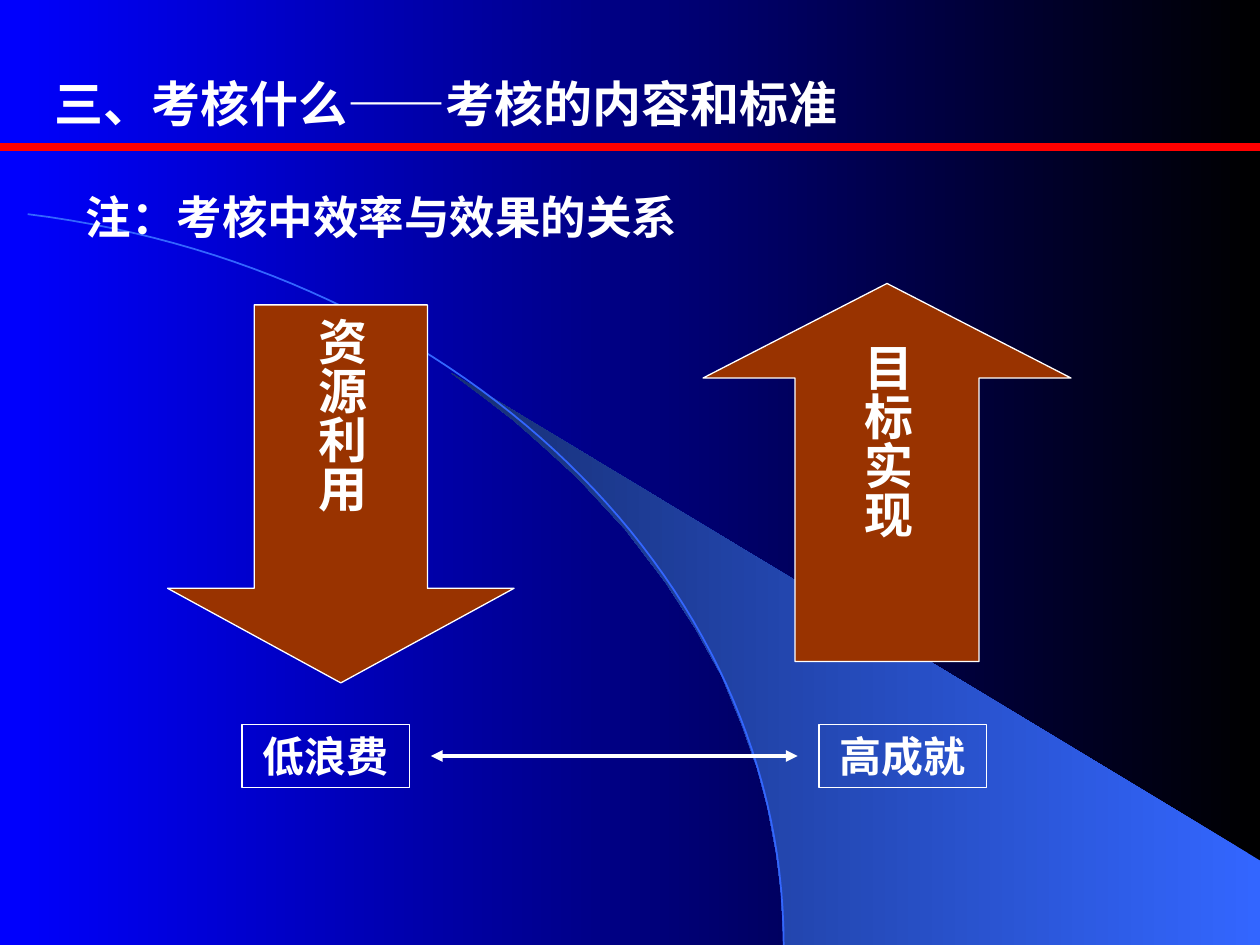
from pptx import Presentation
from pptx.dml.color import RGBColor
from pptx.enum.shapes import MSO_CONNECTOR as Connector, MSO_SHAPE as Shape
from pptx.enum.text import MSO_ANCHOR as Anchor, MSO_AUTO_SIZE as AutoSize, PP_ALIGN as Align
from pptx.oxml.ns import qn
from pptx.util import Inches, Pt
from lxml.etree import SubElement

BLACK = RGBColor(0x00, 0x00, 0x00)
BLUE = RGBColor(0x00, 0x00, 0xFF)
SKY = RGBColor(0x33, 0x66, 0xFF)
NAVY = RGBColor(0x17, 0x2F, 0x75)
RED = RGBColor(0xFF, 0x00, 0x00)
BROWN = RGBColor(0x99, 0x33, 0x00)
WHITE = RGBColor(0xFF, 0xFF, 0xFF)
CJK_FONT = "Noto Sans CJK SC"
LATIN_FONT = "Times New Roman"


def write_text(shape, text, size, font_name, frame_format, paragraph_format):
    frame = shape.text_frame
    for name, value in frame_format.items():
        setattr(frame, name, value)
    paragraph = frame.paragraphs[0]
    paragraph.text = text
    for name, value in paragraph_format.items():
        setattr(paragraph, name, value)
    font = paragraph.runs[0].font
    for name, value in {"size": Pt(size), "bold": True, "name": font_name}.items():
        setattr(font, name, value)
    font.color.rgb = WHITE
    run_properties = paragraph.runs[0]._r.get_or_add_rPr()
    SubElement(run_properties, qn("a:ea"), typeface=CJK_FONT)


def fill_gradient(fill, start, end):
    fill.gradient()
    fill.gradient_angle = 180
    for stop, color in zip(fill.gradient_stops, (start, end)):
        stop.color.rgb = color


presentation = Presentation()
presentation.slide_width = Inches(10)
presentation.slide_height = Inches(7.5)
slide = presentation.slides.add_slide(presentation.slide_layouts[1])
shapes = slide.shapes
fill_gradient(slide.background.fill, BLACK, BLUE)

# Light beam, and the arc along it sampled from a cubic curve
beam_points = [
    (6.22, 7.5), (10, 7.5), (10, 6.83), (3.58, 2.96), (3.86, 3.17), (4.08, 3.34),
    (4.34, 3.57), (4.59, 3.8), (4.96, 4.2), (5.28, 4.62), (5.52, 4.99), (5.73, 5.37),
    (5.89, 5.76), (6.01, 6.1), (6.09, 6.4), (6.16, 6.77), (6.2, 7.09),
]
curve = [(0.22, 1.7), (3.66, 2.13), (6.22, 4.61), (6.22, 7.5)]
steps = 60
arc_points = []
for step in range(steps + 1):
    t = step / steps
    weights = ((1 - t) ** 3, 3 * t * (1 - t) ** 2, 3 * t ** 2 * (1 - t), t ** 3)
    arc_points.append(tuple(sum(w * point[axis] for w, point in zip(weights, curve))
                            for axis in (0, 1)))
for points, is_beam in ((beam_points, True), (arc_points, False)):
    start, *others = [(Inches(x), Inches(y)) for x, y in points]
    builder = shapes.build_freeform(*start)
    builder.add_line_segments(others, close=is_beam)
    outline = builder.convert_to_shape()
    outline.shadow.inherit = False
    if is_beam:
        fill_gradient(outline.fill, SKY, NAVY)
        outline.line.fill.background()
    else:
        outline.fill.background()
        outline.line.color.rgb = SKY
        outline.line.width = Pt(1)

# Title rule and double-headed arrow
for left, right, y, color, width, has_heads in (
    (0, 10, 1.17, RED, 4.5, False),
    (3.42, 6.33, 6, WHITE, 2.25, True),
):
    line = shapes.add_connector(
        Connector.STRAIGHT, Inches(left), Inches(y), Inches(right), Inches(y))
    line.line.color.rgb = color
    line.line.width = Pt(width)
    if has_heads:
        for end in ("a:headEnd", "a:tailEnd"):
            SubElement(line.line._get_or_add_ln(), qn(end), type="triangle")
    SubElement(line._element.spPr, qn("a:effectLst"))

# Title and note, in front of the beam and arc
title, note = shapes.title, slide.placeholders[1]
for placeholder, box, text, size, anchor, spacing in (
    (title, (0.33, 0.42, 9.42, 0.69), "三、考核什么——考核的内容和标准", 28, Anchor.TOP, 1.25),
    (note, (0.58, 1.33, 8.42, 0.75), "注：考核中效率与效果的关系", 26, Anchor.MIDDLE, 1.05),
):
    placeholder.left, placeholder.top, placeholder.width, placeholder.height = map(Inches, box)
    properties = placeholder.text_frame.paragraphs[0]._p.get_or_add_pPr()
    properties.set("marL", "0")
    properties.set("indent", "0")
    SubElement(properties, qn("a:buNone"))
    write_text(
        placeholder, text, size, CJK_FONT,
        {"vertical_anchor": anchor, "auto_size": AutoSize.NONE, "word_wrap": True},
        {"alignment": Align.LEFT, "line_spacing": spacing, "space_before": Pt(0)})
    shapes._spTree.append(placeholder._element)

# Block arrows with vertical text, and their outcome boxes
for kind, box, head, text, size in (
    (Shape.UP_ARROW, (5.58, 2.25, 2.92, 3), 0.257, "目标实现", 28),
    (Shape.DOWN_ARROW, (1.33, 2.42, 2.75, 3), 0.273, "资源利用", 28),
    (Shape.RECTANGLE, (1.92, 5.75, 1.33, 0.5), None, "低浪费", 24),
    (Shape.RECTANGLE, (6.5, 5.75, 1.33, 0.5), None, "高成就", 24),
):
    shape = shapes.add_shape(kind, *map(Inches, box))
    shape.shadow.inherit = False
    shape.line.color.rgb = WHITE
    shape.line.width = Pt(0.75)
    is_arrow = head is not None
    side, end = Inches(0.1), Inches(0.05)
    if is_arrow:
        shape.fill.solid()
        shape.fill.fore_color.rgb = BROWN
        shape.adjustments[0], shape.adjustments[1] = 0.5, head
        shape.text_frame._txBody.bodyPr.set("vert", "eaVert")
        side, end = end, side
    else:
        shape.fill.background()
    write_text(
        shape, text, size, LATIN_FONT,
        {"vertical_anchor": Anchor.MIDDLE, "word_wrap": is_arrow, "margin_left": side,
         "margin_right": side, "margin_top": end, "margin_bottom": end},
        {"alignment": Align.CENTER})

presentation.save("out.pptx")
